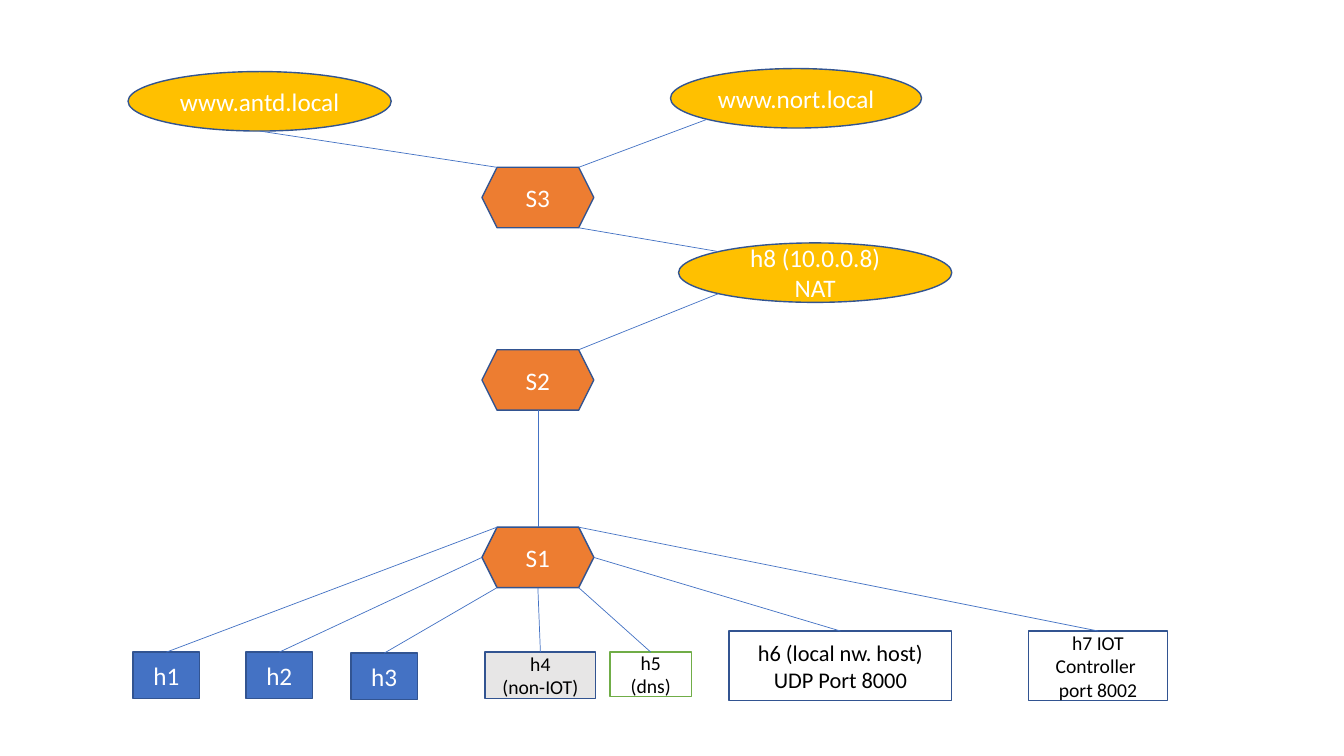
"""Builds a network topology slide with hosts, switches and web servers."""
from lxml.etree import SubElement
from pptx import Presentation
from pptx.dml.color import RGBColor
from pptx.enum.shapes import MSO_CONNECTOR, MSO_SHAPE
from pptx.enum.text import MSO_ANCHOR, PP_ALIGN
from pptx.oxml.ns import qn
from pptx.util import Inches, Pt

WHITE = RGBColor(0xFF, 0xFF, 0xFF)
BLACK = RGBColor(0x00, 0x00, 0x00)
GOLD = RGBColor(0xFF, 0xC0, 0x00)
ORANGE = RGBColor(0xED, 0x7D, 0x31)
BLUE = RGBColor(0x44, 0x72, 0xC4)
NAVY = RGBColor(0x32, 0x54, 0x91)
GREY = RGBColor(0xE7, 0xE6, 0xE6)
GREEN = RGBColor(0x70, 0xAD, 0x47)

DIAGONAL = 0.71
CORNER = 0.73


class TopologySlide:
    """Holds the style and the current slide of the topology."""

    font = {"name": "Calibri"}
    frame = {"word_wrap": True, "vertical_anchor": MSO_ANCHOR.MIDDLE}

    def __init__(self, prs):
        self.s = prs.slides.add_slide(prs.slide_layouts[6])

    def node(self, kind, text, box, fill=None, line=NAVY, size=18, color=WHITE):
        sp = self.s.shapes.add_shape(kind, *(Inches(v) for v in box))
        sp.shadow.inherit = False
        if fill is None:
            sp.fill.background()
        else:
            sp.fill.solid()
            sp.fill.fore_color.rgb = fill
        sp.line.color.rgb = line
        sp.line.width = Pt(1)
        tf = sp.text_frame
        for key, value in self.frame.items():
            setattr(tf, key, value)
        for i, words in enumerate(text.split("\n")):
            p = tf.paragraphs[0] if i == 0 else tf.add_paragraph()
            p.alignment = PP_ALIGN.CENTER
            r = p.add_run()
            r.text = words
            for key, value in {**self.font, "size": Pt(size)}.items():
                setattr(r.font, key, value)
            r.font.color.rgb = color
        return sp

    def server(self, text, *box):
        return self.node(MSO_SHAPE.OVAL, text, box, GOLD)

    def switch(self, text, top):
        return self.node(MSO_SHAPE.HEXAGON, text, (4.78, top, 1.11, 0.6), ORANGE)

    def host(self, text, box, **style):
        return self.node(MSO_SHAPE.RECTANGLE, text, box, **style)

    def point(self, sp, fx, fy):
        return (int(sp.left + sp.width * (1 + fx) / 2),
                int(sp.top + sp.height * (1 + fy) / 2))

    def link(self, start, start_at, end, end_at):
        c = self.s.shapes.add_connector(
            MSO_CONNECTOR.STRAIGHT,
            *self.point(start, *start_at), *self.point(end, *end_at))
        if end.auto_shape_type == MSO_SHAPE.RECTANGLE:
            c.end_connect(end, 0)
        c.line.color.rgb = BLUE
        c.line.width = Pt(0.5)
        SubElement(c._element.spPr, qn("a:effectLst"))


def main():
    prs = Presentation()
    prs.slide_width, prs.slide_height = Inches(13.33), Inches(7.5)
    topo = TopologySlide(prs)

    antd = topo.server("www.antd.local", 1.27, 0.71, 2.61, 0.59)
    nort = topo.server("www.nort.local", 6.65, 0.68, 2.49, 0.59)
    nat = topo.server("h8 (10.0.0.8) NAT", 6.73, 2.41, 2.71, 0.59)
    s3, s2, s1 = (topo.switch(name, top)
                  for name, top in (("S3", 1.66), ("S2", 3.47), ("S1", 5.23)))

    h1, h2, h3 = (topo.host(name, (left, top, 0.66, 0.46), fill=BLUE)
                  for name, left, top in (("h1", 1.32, 6.47), ("h2", 2.44, 6.47),
                                          ("h3", 3.48, 6.48)))
    small = {"size": 14, "color": BLACK}
    h4 = topo.host("h4\n(non-IOT)", (4.81, 6.47, 1.1, 0.46), fill=GREY, **small)
    h5 = topo.host("h5\n(dns)", (6.05, 6.47, 0.81, 0.44), line=GREEN, **small)
    h6 = topo.host("h6 (local nw. host)\nUDP Port 8000", (7.23, 6.26, 2.21, 0.69),
                   size=16, color=BLACK)
    h7 = topo.host("h7 IOT Controller \nport 8002", (10.2, 6.26, 1.38, 0.69), **small)

    top, bottom, left, right = (0, -1), (0, 1), (-1, 0), (1, 0)
    top_left, top_right = (-CORNER, -1), (CORNER, -1)
    bottom_left, bottom_right = (-CORNER, 1), (CORNER, 1)

    topo.link(s3, top_left, antd, bottom)
    topo.link(s3, top_right, nort, (-DIAGONAL, DIAGONAL))
    topo.link(s3, bottom_right, nat, (-DIAGONAL, -DIAGONAL))
    topo.link(s2, top_right, nat, (-DIAGONAL, DIAGONAL))
    topo.link(s1, top, s2, bottom)
    for host, start_at in ((h1, top_left), (h2, left), (h3, bottom_left),
                           (h4, bottom), (h5, bottom_right), (h6, right),
                           (h7, top_right)):
        topo.link(s1, start_at, host, top)

    prs.save("out.pptx")


if __name__ == "__main__":
    main()
